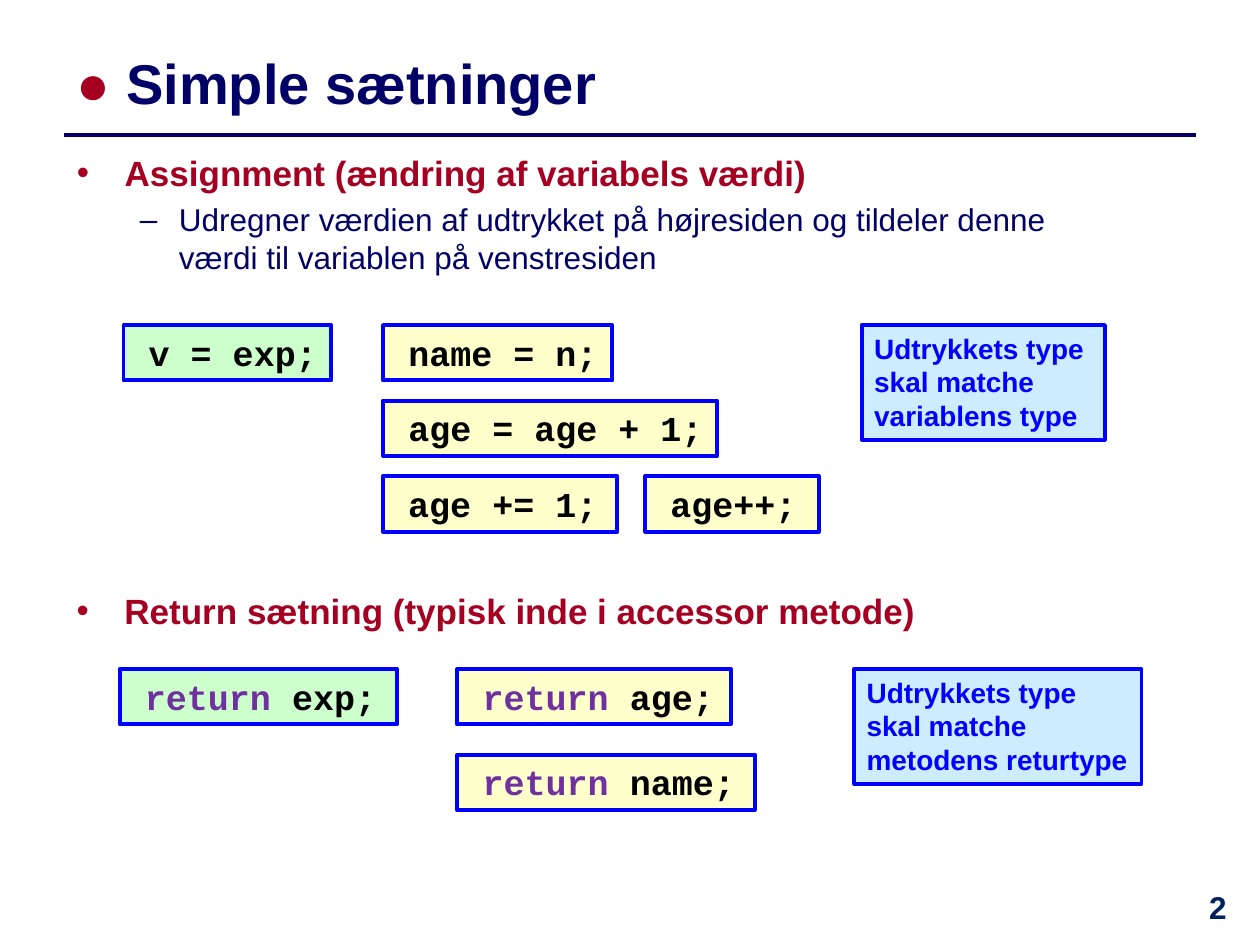
from lxml import etree
from pptx import Presentation
from pptx.dml.color import RGBColor
from pptx.enum.shapes import MSO_CONNECTOR, MSO_SHAPE
from pptx.enum.text import MSO_ANCHOR, MSO_AUTO_SIZE, PP_ALIGN
from pptx.oxml.ns import qn
from pptx.util import Inches, Pt

LEFT, CENTER = PP_ALIGN.LEFT, PP_ALIGN.CENTER
TOP, MIDDLE = MSO_ANCHOR.TOP, MSO_ANCHOR.MIDDLE
FIXED, GROW = MSO_AUTO_SIZE.NONE, MSO_AUTO_SIZE.SHAPE_TO_FIT_TEXT

NAVY = RGBColor(0x00, 0x00, 0x66)
RED = RGBColor(0xA5, 0x00, 0x21)
BLUE = RGBColor(0x00, 0x00, 0xFF)
BLACK = RGBColor(0x00, 0x00, 0x00)
PURPLE = RGBColor(0x70, 0x30, 0xA0)
NUMBER_BLUE = RGBColor(0x00, 0x20, 0x60)
SYNTAX_GREEN = RGBColor(0xCC, 0xFF, 0xCC)
EXAMPLE_YELLOW = RGBColor(0xFF, 0xFF, 0xCC)
RULE_CYAN = RGBColor(0xCC, 0xEC, 0xFF)

MARGIN = 0.51
CODE_HEIGHT, RULE_HEIGHT = 0.44, 0.91
ASSIGN_TOP, RETURN_TOP = 2.58, 5.31
ASSIGN_STEP, RETURN_STEP = 0.6, 0.68
ASSIGN_LEFT, RETURN_LEFT = 3.04, 3.63

TITLE = [("● ", RED), ("Simple sætninger", NAVY)]
ASSIGN_HEADING = "Assignment (ændring af variabels værdi)"
ASSIGN_DETAIL = ("Udregner værdien af udtrykket på højresiden og tildeler "
                 "denne værdi til variablen på venstresiden")
RETURN_HEADING = "Return sætning (typisk inde i accessor metode)"
PAGE_NUMBER = "2"

# keyword, rest of the code, left, top, width, fill
CODE_BOXES = [
    ("", "v = exp;", 0.98, ASSIGN_TOP, 1.65, SYNTAX_GREEN),
    ("", "name = n;", ASSIGN_LEFT, ASSIGN_TOP, 1.82, EXAMPLE_YELLOW),
    ("", "age = age + 1;", ASSIGN_LEFT, ASSIGN_TOP + ASSIGN_STEP, 2.65, EXAMPLE_YELLOW),
    ("", "age += 1;", ASSIGN_LEFT, ASSIGN_TOP + 2 * ASSIGN_STEP, 1.86, EXAMPLE_YELLOW),
    ("", "age++;", 5.12, ASSIGN_TOP + 2 * ASSIGN_STEP, 1.38, EXAMPLE_YELLOW),
    ("return", " exp;", 0.95, RETURN_TOP, 2.2, SYNTAX_GREEN),
    ("return", " age;", RETURN_LEFT, RETURN_TOP, 2.17, EXAMPLE_YELLOW),
    ("return", " name;", RETURN_LEFT, RETURN_TOP + RETURN_STEP, 2.36, EXAMPLE_YELLOW),
]
# text, left, top, width
TYPE_RULES = [
    ("Udtrykkets type skal matche variablens type", 6.84, ASSIGN_TOP, 1.93),
    ("Udtrykkets type skal matche metodens returtype", 6.78, RETURN_TOP, 2.28),
]


def place(shape, left, top, width, height):
    shape.left, shape.top = Inches(left), Inches(top)
    shape.width, shape.height = Inches(width), Inches(height)


def setup_frame(shape, anchor=TOP, fit=FIXED, inset_left=0.1):
    frame = shape.text_frame
    frame.word_wrap = True
    frame.auto_size = fit
    frame.vertical_anchor = anchor
    frame.margin_left, frame.margin_right = Inches(inset_left), Inches(0.1)
    frame.margin_top = frame.margin_bottom = Inches(0.05)
    return frame


def write(paragraph, runs, size=20, font="Arial", bold=True, align=LEFT,
          level=0, bullet=None, indent=0, hang=0, before=0):
    """Fill a paragraph with (text, colour) runs in one format."""
    paragraph.level = level
    paragraph.alignment = align
    paragraph.space_before = Pt(before)
    if bullet:
        properties = paragraph._p.get_or_add_pPr()
        properties.set("marL", str(Inches(indent)))
        properties.set("indent", str(-Inches(hang)))
        etree.SubElement(properties, qn("a:buFont"), typeface="Arial")
        etree.SubElement(properties, qn("a:buChar"), char=bullet)
    for text, colour in runs:
        run = paragraph.add_run()
        run.text = text
        run.font.name, run.font.size, run.font.bold = font, Pt(size), bold
        run.font.color.rgb = colour


def write_heading(paragraph, text):
    write(paragraph, [(text, RED)], bullet="•", indent=0.38, hang=0.38)


def add_box(slide, runs, left, top, width, height, fill, inset_left=0.1, **text_format):
    box = slide.shapes.add_shape(MSO_SHAPE.RECTANGLE, Inches(left), Inches(top),
                                 Inches(width), Inches(height))
    box.shadow.inherit = False
    box.fill.solid()
    box.fill.fore_color.rgb = fill
    box.line.color.rgb = BLUE
    box.line.width = Pt(2.25)
    frame = setup_frame(box, fit=GROW, inset_left=inset_left)
    write(frame.paragraphs[0], runs, **text_format)


def add_label(slide, left, top, width, height):
    label = slide.shapes.add_textbox(Inches(left), Inches(top),
                                     Inches(width), Inches(height))
    return setup_frame(label).paragraphs[0]


def add_title_rule(slide):
    rule = slide.shapes.add_connector(MSO_CONNECTOR.STRAIGHT, Inches(MARGIN), Inches(1.07),
                                      Inches(10 - MARGIN), Inches(1.07))
    rule.line.color.rgb = NAVY
    rule.line.width = Pt(2)
    etree.SubElement(rule._element.spPr, qn("a:effectLst"))


def main():
    deck = Presentation()
    deck.slide_width, deck.slide_height = Inches(10), Inches(7.5)
    slide = deck.slides.add_slide(deck.slide_layouts[1])
    add_title_rule(slide)

    title, body = slide.shapes.title, slide.placeholders[1]
    place(title, MARGIN, 0.28, 10 - 2 * MARGIN, 0.75)
    write(setup_frame(title, anchor=MIDDLE).paragraphs[0], TITLE, size=32)

    place(body, MARGIN, 1.15, 8.43, 1.18)
    assignment = setup_frame(body)
    write_heading(assignment.paragraphs[0], ASSIGN_HEADING)
    write(assignment.add_paragraph(), [(ASSIGN_DETAIL, NAVY)], size=18, bold=False,
          level=1, bullet="–", indent=0.81, hang=0.31, before=4)

    write_heading(add_label(slide, MARGIN, 4.63, 8.24, 0.54), RETURN_HEADING)
    write(add_label(slide, 9.33, 7, 0.67, 0.5), [(PAGE_NUMBER, NUMBER_BLUE)],
          size=18, align=CENTER)

    for keyword, code, left, top, width, fill in CODE_BOXES:
        runs = [(keyword, PURPLE)] if keyword else []
        add_box(slide, runs + [(code, BLACK)], left, top, width, CODE_HEIGHT, fill,
                inset_left=0.2, font="Courier New")
    for text, left, top, width in TYPE_RULES:
        add_box(slide, [(text, BLUE)], left, top, width, RULE_HEIGHT, RULE_CYAN, size=16)

    deck.save("out.pptx")


if __name__ == "__main__":
    main()
